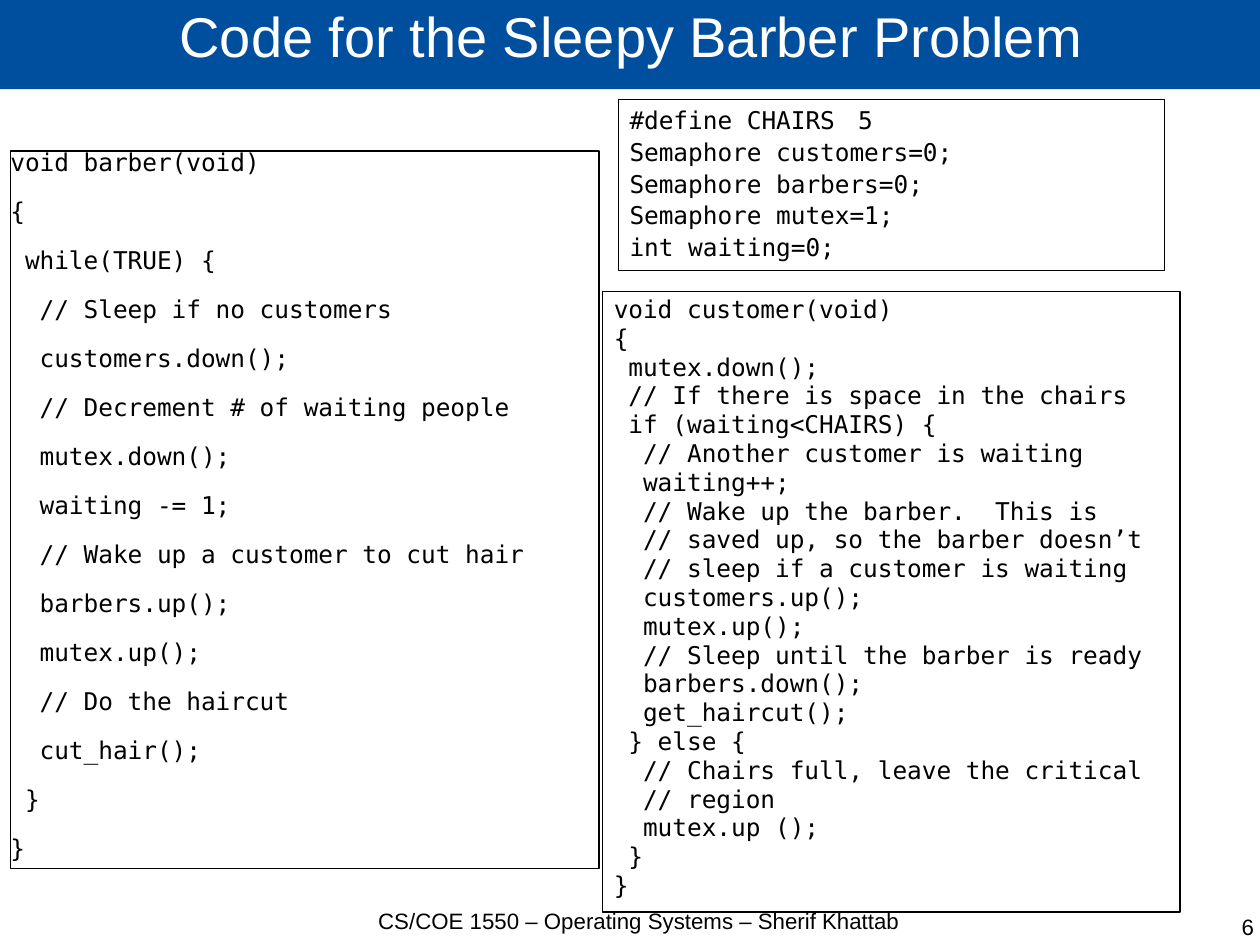
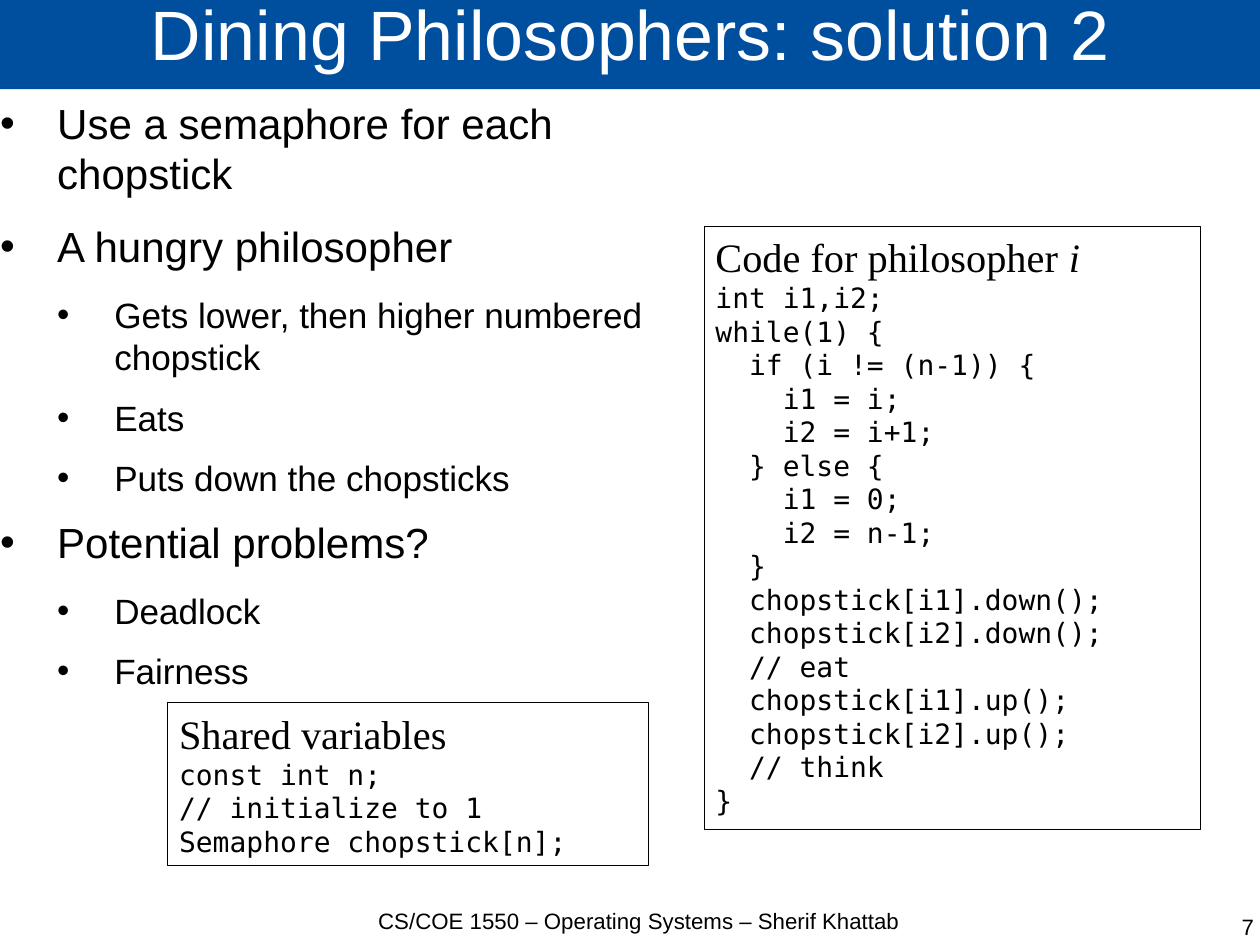
from lxml.etree import SubElement
from pptx import Presentation
from pptx.dml.color import RGBColor
from pptx.enum.shapes import MSO_SHAPE
from pptx.enum.text import MSO_ANCHOR, MSO_AUTO_SIZE, PP_ALIGN
from pptx.oxml.ns import qn
from pptx.util import Cm, Pt

# Shared look
BLUE, WHITE, BLACK = "004F9E", "FFFFFF", "000000"
SANS, SERIF, MONO = "Arial", "Times New Roman", "DejaVu Sans Mono"
FOOTER = "CS/COE 1550 – Operating Systems – Sherif Khattab"
STEP = Cm(1.27)

# Code listings
BARBER = """void barber(void)
{
 while(TRUE) {
  // Sleep if no customers
  customers.down();
  // Decrement # of waiting people
  mutex.down();
  waiting -= 1;
  // Wake up a customer to cut hair
  barbers.up();
  mutex.up();
  // Do the haircut
  cut_hair();
 }
}"""

GLOBALS = """#define CHAIRS\t5
Semaphore customers=0;
Semaphore barbers=0;
Semaphore mutex=1;
int waiting=0;"""

CUSTOMER = """void customer(void)
{
 mutex.down();
 // If there is space in the chairs
 if (waiting<CHAIRS) {
  // Another customer is waiting
  waiting++;
  // Wake up the barber.  This is
  // saved up, so the barber doesn’t
  // sleep if a customer is waiting
  customers.up();
  mutex.up();
  // Sleep until the barber is ready
  barbers.down();
  get_haircut();
 } else {
  // Chairs full, leave the critical
  // region
  mutex.up ();
 }
}"""

DINER = """int i1,i2;
while(1) {
  if (i != (n-1)) {
    i1 = i;
    i2 = i+1;
  } else {
    i1 = 0;
    i2 = n-1;
  }
  chopstick[i1].down();
  chopstick[i2].down();
  // eat
  chopstick[i1].up();
  chopstick[i2].up();
  // think
}"""

SHARED = """const int n;
// initialize to 1
Semaphore chopstick[n];"""

# Bullet list: level and text
POINTS = [
    (0, "Use a semaphore for each chopstick"),
    (0, "A hungry philosopher"),
    (1, "Gets lower, then higher numbered chopstick"),
    (1, "Eats"),
    (1, "Puts down the chopsticks"),
    (0, "Potential problems?"),
    (1, "Deadlock"),
    (1, "Fairness"),
]


def rgb(code):
    return RGBColor.from_string(code)


def write(shape, text, size=14, font=SANS, color=BLACK, align=PP_ALIGN.LEFT,
          lead=1.0, before=0, after=0, level=0, bullet=False, tab=None,
          italic=False, join=False):
    """Add one paragraph per line, or join the text to the last paragraph."""
    frame = shape.text_frame
    for line in text.split("\n"):
        if join or not frame.text:
            par = frame.paragraphs[-1]
        else:
            par = frame.add_paragraph()
        if not join:
            par.alignment, par.level, par.line_spacing = align, level, lead
            par.space_before, par.space_after = Pt(before), Pt(after)
            indent(par, level, bullet, tab)
        run = par.add_run()
        run.text = line
        run.font.name, run.font.size = font, Pt(size)
        run.font.italic = italic
        run.font.color.rgb = rgb(color)


def indent(par, level, bullet, tab):
    """Set the margins, then a bullet, a tab stop or neither."""
    props = par._p.get_or_add_pPr()
    props.set("marL", str(STEP * (level + 1) if bullet else 0))
    props.set("indent", str(-STEP if bullet else 0))
    if bullet:
        SubElement(props, qn("a:buFont"), typeface=SANS)
        SubElement(props, qn("a:buChar"), char="•")
    elif tab:
        stops = SubElement(props, qn("a:tabLst"))
        SubElement(stops, qn("a:tab"), pos=str(tab), algn="l")
    else:
        SubElement(props, qn("a:buNone"))


def place(shape, left, top, width, height):
    shape.left, shape.top = Cm(left), Cm(top)
    shape.width, shape.height = Cm(width), Cm(height)


def fit(shape, anchor=MSO_ANCHOR.TOP, side=0, edge=0):
    """Set wrapping, anchor and insets of a text frame."""
    frame = shape.text_frame
    frame.word_wrap, frame.auto_size = True, MSO_AUTO_SIZE.NONE
    frame.vertical_anchor = anchor
    frame.margin_left = frame.margin_right = Cm(side)
    frame.margin_top = frame.margin_bottom = Cm(edge)


def border(shape, width):
    shape.line.color.rgb = rgb(BLACK)
    shape.line.width = Pt(width)


def label(slide, text, area, align):
    box = slide.shapes.add_textbox(*map(Cm, area))
    fit(box)
    write(box, text, align=align)


def frame_box(slide, area, width):
    """Add an outlined box for code."""
    box = slide.shapes.add_shape(MSO_SHAPE.RECTANGLE, *map(Cm, area))
    box.shadow.inherit = False
    box.fill.background()
    border(box, width)
    fit(box, side=0.25, edge=0.13)
    return box


def start(deck, title, size, number):
    """Add a slide with its title band and footer; return it and its body."""
    slide = deck.slides.add_slide(deck.slide_layouts[1])
    head, body = slide.placeholders
    place(head, 0, -0.05, 28.04, 2.03)
    head.fill.solid()
    head.fill.fore_color.rgb = rgb(BLUE)
    fit(head, MSO_ANCHOR.MIDDLE)
    write(head, title, size=size, color=WHITE, align=PP_ALIGN.CENTER, lead=0.69)
    fit(body)
    label(slide, FOOTER, (7.8, 20.17, 12.8, 1.4), PP_ALIGN.CENTER)
    label(slide, str(number), (21.44, 20.29, 6.43, 1.4), PP_ALIGN.RIGHT)
    return slide, body


def sleepy(deck):
    slide, body = start(deck, "Code for the Sleepy Barber Problem", 35.3, 6)
    code = dict(size=15.4, font=MONO)
    place(body, 0.23, 3.35, 13.08, 15.95)
    border(body, 1)
    write(body, BARBER, lead=0.9, after=14.2, **code)
    top = frame_box(slide, (13.74, 2.21, 12.14, 3.81), 0.75)
    write(top, GLOBALS, before=1.5, tab=Cm(5.56), **code)
    low = frame_box(slide, (13.39, 6.48, 12.83, 13.79), 1)
    write(low, CUSTOMER, lead=0.9, before=1.5, **code)


def dining(deck):
    slide, body = start(deck, "Dining Philosophers: solution 2", 44, 7)
    place(body, 0, 2.16, 14.4, 18.08)
    looks = [dict(size=26.5, after=14.2), dict(size=22.1, after=11.4)]
    for level, text in POINTS:
        write(body, text, level=level, bullet=True, **looks[level])
    name = dict(size=25.4, font=SERIF)
    code = dict(size=17.6, font=MONO)
    diner = frame_box(slide, (15.65, 5.03, 11.02, 13.41), 0.5)
    write(diner, "Code for philosopher ", **name)
    write(diner, "i", italic=True, join=True, **name)
    write(diner, DINER, **code)
    shared = frame_box(slide, (3.73, 15.62, 10.67, 3.61), 0.5)
    write(shared, "Shared variables", **name)
    write(shared, SHARED, **code)


def main():
    deck = Presentation()
    deck.slide_width, deck.slide_height = Cm(28), Cm(21)
    sleepy(deck)
    dining(deck)
    deck.save("out.pptx")


main()
